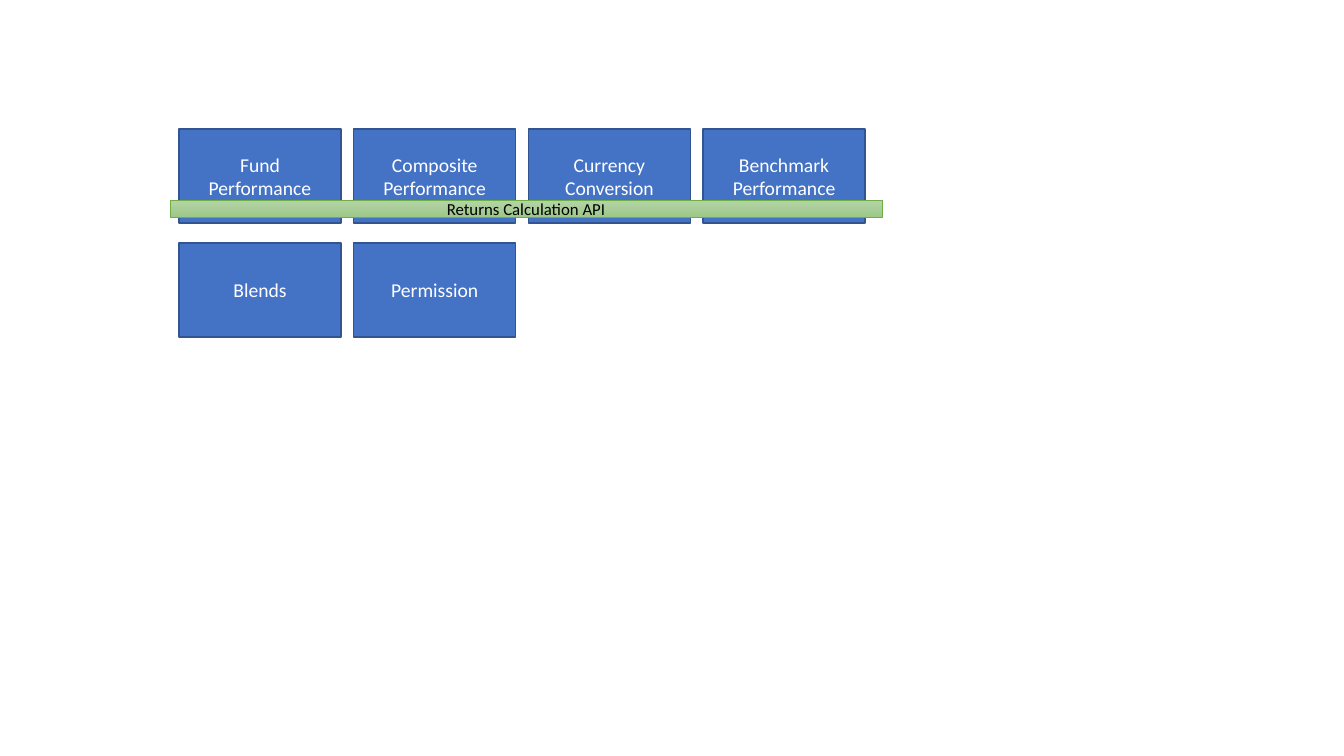
from copy import deepcopy

from pptx import Presentation
from pptx.dml.color import RGBColor
from pptx.enum.shapes import MSO_SHAPE
from pptx.enum.text import MSO_ANCHOR, PP_ALIGN
from pptx.oxml.ns import qn
from pptx.util import Inches, Pt

RECTANGLE = MSO_SHAPE.RECTANGLE
MIDDLE = MSO_ANCHOR.MIDDLE
CENTER = PP_ALIGN.CENTER

WHITE = RGBColor(0xFF, 0xFF, 0xFF)
BLACK = RGBColor(0x00, 0x00, 0x00)
SERVICE_BLUE = RGBColor(0x44, 0x72, 0xC4)
SERVICE_EDGE = RGBColor(0x32, 0x54, 0x91)
API_EDGE = RGBColor(0x70, 0xAD, 0x47)
API_GREENS = [
    (0, RGBColor(0xB5, 0xD5, 0xA7)),
    (0.5, RGBColor(0xAA, 0xCE, 0x9A)),
    (1, RGBColor(0x9C, 0xC9, 0x87)),
]

FONT = "Calibri"
PIXEL = Inches(1) / 100.8


def px(length):
    """Turn pixels into whole EMU."""
    return round(length * PIXEL)


def add_box(text, left, top, width, height, *, size, color, edge, edge_width):
    """Add a rectangle with centred text and return it."""
    box = slide.shapes.add_shape(RECTANGLE, px(left), px(top), px(width), px(height))
    box.shadow.inherit = False
    box.line.color.rgb = edge
    box.line.width = Pt(edge_width)
    frame = box.text_frame
    frame.word_wrap = True
    frame.vertical_anchor = MIDDLE
    paragraph = frame.paragraphs[0]
    paragraph.alignment = CENTER
    run = paragraph.add_run()
    run.text = text
    run.font.name = FONT
    run.font.size = Pt(size)
    run.font.color.rgb = color
    return box


deck = Presentation()
deck.slide_width = Inches(13.33)
deck.slide_height = Inches(7.5)
slide = deck.slides.add_slide(deck.slide_layouts[6])

# Services in a grid of four columns
SERVICES = [
    ["Fund Performance", "Composite Performance", "Currency Conversion", "Benchmark Performance"],
    ["Blends", "Permission"],
]
GRID_LEFT, GRID_RIGHT, GRID_TOP = 179, 865, 129
SERVICE_WIDTH, SERVICE_HEIGHT = 162, 94
COLUMN_STEP = (GRID_RIGHT - GRID_LEFT - SERVICE_WIDTH) / 3
ROW_STEP = 114

for row, names in enumerate(SERVICES):
    for column, name in enumerate(names):
        service = add_box(
            name,
            GRID_LEFT + column * COLUMN_STEP,
            GRID_TOP + row * ROW_STEP,
            SERVICE_WIDTH,
            SERVICE_HEIGHT,
            size=14, color=WHITE, edge=SERVICE_EDGE, edge_width=1,
        )
        service.fill.solid()
        service.fill.fore_color.rgb = SERVICE_BLUE

# API bar across the first row, shaded from top to bottom
api_bar = add_box(
    "Returns Calculation API", 170, 200, 712, 17,
    size=12, color=BLACK, edge=API_EDGE, edge_width=0.5,
)
api_bar.fill.gradient()
api_bar.fill.gradient_angle = 270
stop_list = api_bar.element.spPr.find(".//" + qn("a:gsLst"))
stop_list.insert(1, deepcopy(stop_list[0]))
for stop, (position, green) in zip(api_bar.fill.gradient_stops, API_GREENS):
    stop.position = position
    stop.color.rgb = green

deck.save("out.pptx")
